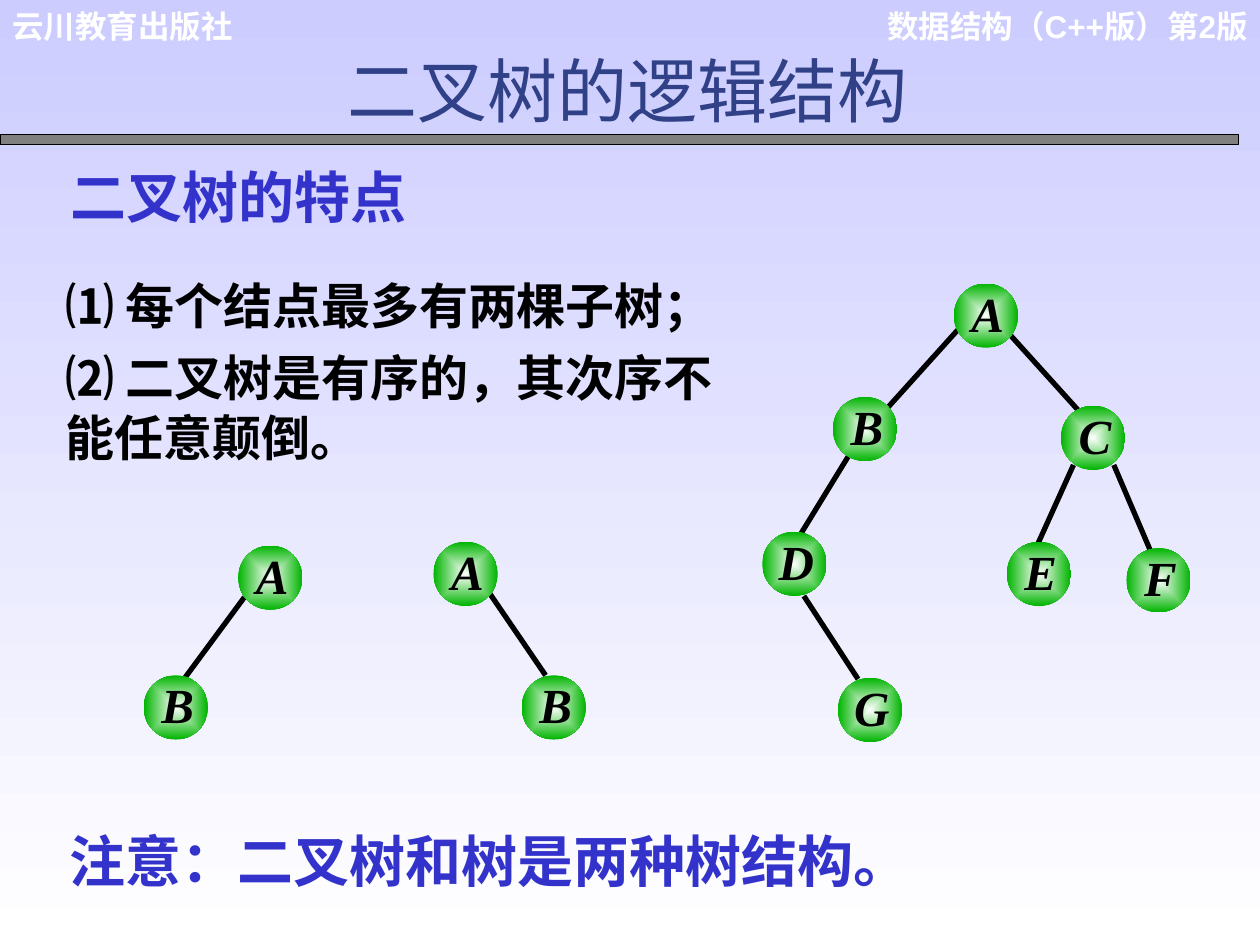
from lxml.etree import SubElement
from pptx import Presentation
from pptx.dml.color import RGBColor
from pptx.enum.shapes import MSO_CONNECTOR, MSO_SHAPE
from pptx.enum.text import MSO_ANCHOR, PP_ALIGN
from pptx.oxml.ns import qn
from pptx.util import Inches, Pt

SERIF = "Times New Roman"
SANS = "Arial"
CHINESE = "Noto Sans CJK SC"
BLACK, WHITE, BLUE = "000000", "FFFFFF", "3333CC"
NODE_SIZE = 0.51

MAIN_EDGES = [
    (7.6, 2.62, 7.05, 3.23), (8.01, 2.65, 8.57, 3.27),
    (6.74, 3.61, 6.36, 4.23), (6.38, 4.73, 6.81, 5.39),
    (8.52, 3.69, 8.24, 4.31), (8.84, 3.69, 9.13, 4.37),
]
MAIN_NODES = [
    ("A", 7.57, 2.25), ("B", 6.61, 3.15), ("C", 8.42, 3.22), ("D", 6.05, 4.22),
    ("E", 7.99, 4.3), ("F", 8.94, 4.35), ("G", 6.65, 5.38),
]
LEFT_EDGES = [(1.94, 4.74, 1.46, 5.39)]
LEFT_NODES = [("A", 1.89, 4.33), ("B", 1.14, 5.36)]
RIGHT_EDGES = [(3.88, 4.7, 4.33, 5.36)]
RIGHT_NODES = [("A", 3.44, 4.3), ("B", 4.14, 5.36)]


def color(value):
    return RGBColor.from_string(value)


class TreeSlide:
    def __init__(self, page):
        self.page = page

    def gradient(self, fill, start, end):
        fill.gradient()
        for stop, value in zip(fill.gradient_stops, (start, end)):
            stop.color.rgb = color(value)

    def background(self, start, end):
        fill = self.page.background.fill
        self.gradient(fill, start, end)
        fill.gradient_angle = 270

    def style(self, para, size, font, ink, bold=True, italic=False):
        for span in para.runs:
            span.font.size = Pt(size)
            span.font.bold = bold
            span.font.italic = italic
            span.font.color.rgb = color(ink)
            span.font.name = font
            properties = span.font._element
            SubElement(properties, qn("a:ea")).set("typeface", CHINESE)

    def text(self, left, top, width, height, lines, size, font, ink,
             align=PP_ALIGN.LEFT, bold=True, side=0.1, gap=0):
        box = self.page.shapes.add_textbox(
            Inches(left), Inches(top), Inches(width), Inches(height))
        frame = box.text_frame
        frame.word_wrap = True
        frame.margin_left = frame.margin_right = Inches(side)
        frame.margin_top = frame.margin_bottom = Inches(0.05)
        frame.text = "\n".join(lines)
        for index, para in enumerate(frame.paragraphs):
            para.alignment = align
            para.line_spacing = Pt(round(size * 1.22, 1))
            para.space_before = Pt(gap if index else 0)
            self.style(para, size, font, ink, bold)

    def bar(self, left, top, width, height, fill):
        bar = self.page.shapes.add_shape(
            MSO_SHAPE.RECTANGLE, Inches(left), Inches(top), Inches(width), Inches(height))
        bar.shadow.inherit = False
        bar.fill.solid()
        bar.fill.fore_color.rgb = color(fill)
        bar.line.color.rgb = color(BLACK)
        bar.line.width = Pt(0.75)

    def edge(self, *ends):
        edge = self.page.shapes.add_connector(
            MSO_CONNECTOR.STRAIGHT, *(Inches(value) for value in ends))
        edge.line.color.rgb = color(BLACK)
        edge.line.width = Pt(3)
        SubElement(edge._element.spPr, qn("a:effectLst"))

    def node(self, label, left, top):
        node = self.page.shapes.add_shape(
            MSO_SHAPE.OVAL, Inches(left), Inches(top), Inches(NODE_SIZE), Inches(NODE_SIZE))
        node.shadow.inherit = False
        node.line.fill.background()
        self.gradient(node.fill, WHITE, "00B400")
        gradient = node._element.spPr.find(qn("a:gradFill"))
        gradient.remove(gradient.find(qn("a:lin")))
        spread = SubElement(gradient, qn("a:path"))
        spread.set("path", "rect")
        center = SubElement(spread, qn("a:fillToRect"))
        for side in "ltrb":
            center.set(side, "50000")
        frame = node.text_frame
        frame.word_wrap = False
        frame.vertical_anchor = MSO_ANCHOR.MIDDLE
        frame.margin_left, frame.margin_right = Inches(0.03), 0
        frame.margin_top, frame.margin_bottom = 0, Inches(0.05)
        frame.text = label
        para = frame.paragraphs[0]
        para.alignment = PP_ALIGN.CENTER
        self.style(para, 28, SERIF, BLACK, italic=True)

    def tree(self, edges, nodes):
        for edge in edges:
            self.edge(*edge)
        for node in nodes:
            self.node(*node)


def main():
    deck = Presentation()
    deck.slide_width, deck.slide_height = Inches(10), Inches(7.5)
    slide = TreeSlide(deck.slides.add_slide(deck.slide_layouts[6]))
    slide.background("CCCCFF", WHITE)
    slide.text(6.89, 0, 3.11, 0.7, ["数据结构（C++版）第2版"], 18, SANS, WHITE, PP_ALIGN.RIGHT)
    slide.text(0, 0, 2.71, 0.4, ["云川教育出版社"], 18, SANS, WHITE)
    slide.bar(0, 1.07, 9.83, 0.08, "808080")
    slide.text(0.46, 1.23, 3.92, 0.64, ["二叉树的特点"], 32, SERIF, BLUE)
    features = ["⑴ 每个结点最多有两棵子树；", "⑵ 二叉树是有序的，其次序不能任意颠倒。"]
    slide.text(0.52, 2.13, 5.27, 1.6, features, 28, SERIF, BLACK, side=0, gap=7)
    slide.text(0.45, 6.5, 7.74, 0.64, ["注意：二叉树和树是两种树结构。"], 32, SERIF, BLUE,
               PP_ALIGN.JUSTIFY)
    slide.tree(MAIN_EDGES, MAIN_NODES)
    slide.tree(LEFT_EDGES, LEFT_NODES)
    slide.tree(RIGHT_EDGES, RIGHT_NODES)
    slide.text(0.17, 0.32, 9.62, 0.77, ["二叉树的逻辑结构"], 40, CHINESE, "314187",
               PP_ALIGN.CENTER, bold=False)
    deck.save("out.pptx")


if __name__ == "__main__":
    main()
